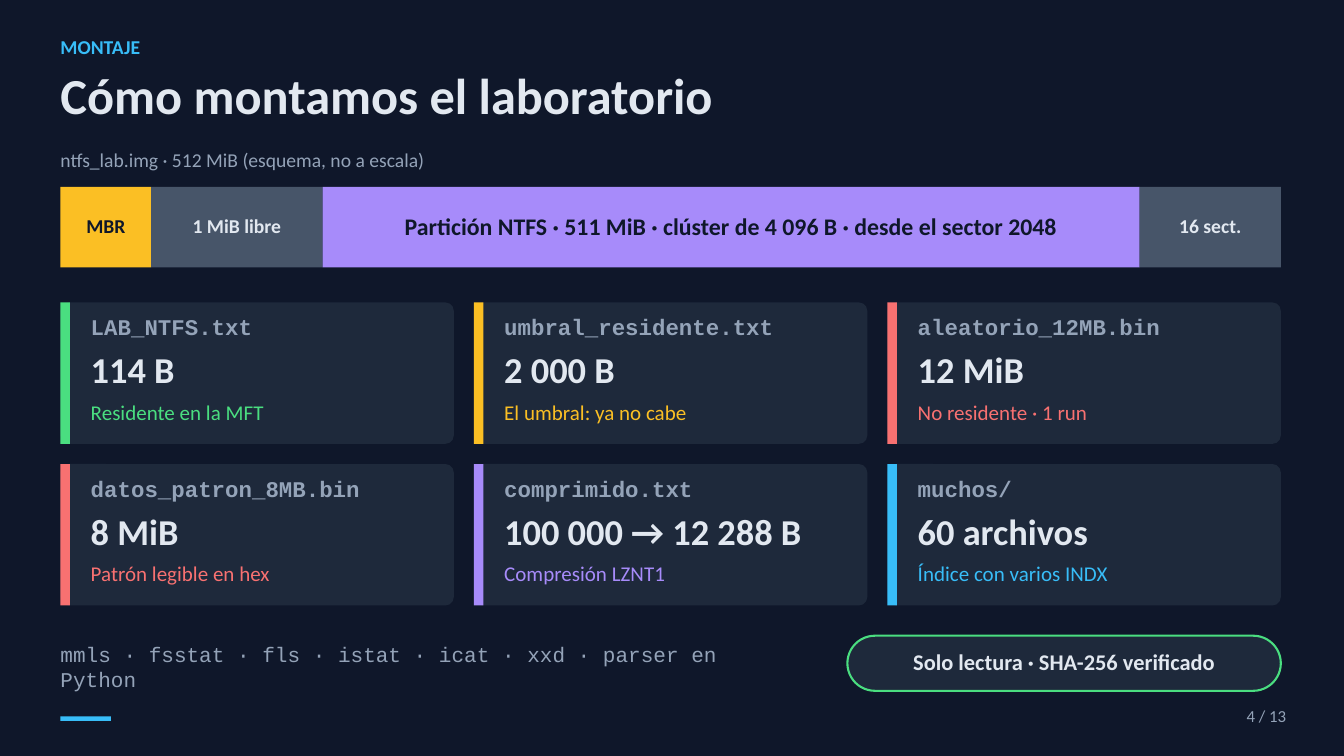
from pptx import Presentation
from pptx import util as u
from pptx.dml.color import RGBColor
from pptx.enum import shapes, text

PX = 9144  # 100 px to the inch

NIGHT = RGBColor(0x0F, 0x17, 0x2A)
PANEL = RGBColor(0x1E, 0x29, 0x3B)
SLATE = RGBColor(0x47, 0x55, 0x69)
MUTED = RGBColor(0x94, 0xA3, 0xB8)
LIGHT = RGBColor(0xE2, 0xE8, 0xF0)
SKY = RGBColor(0x38, 0xBD, 0xF8)
AMBER = RGBColor(0xFB, 0xBF, 0x24)
VIOLET = RGBColor(0xA7, 0x8B, 0xFA)
GREEN = RGBColor(0x4A, 0xDE, 0x80)
RED = RGBColor(0xF8, 0x71, 0x71)

SANS = "Calibri"
MONO = "Courier New"
RECT = shapes.MSO_SHAPE.RECTANGLE
ROUNDED = shapes.MSO_SHAPE.ROUNDED_RECTANGLE
LEFT, CENTER, RIGHT = text.PP_ALIGN.LEFT, text.PP_ALIGN.CENTER, text.PP_ALIGN.RIGHT

LEFT_EDGE = 90
CONTENT_WIDTH = 1816

# label, width, fill, text colour, text size
SEGMENTS = [
    ("MBR", 135, AMBER, NIGHT, 21),
    ("1 MiB libre", 255, SLATE, LIGHT, 21),
    ("Partición NTFS · 511 MiB · clúster de 4 096 B · desde el sector 2048",
     1216, VIOLET, NIGHT, 25.5),
    ("16 sect.", 210, SLATE, LIGHT, 21),
]

# file name, size, remark, accent
FILES = [
    ("LAB_NTFS.txt", "114 B", "Residente en la MFT", GREEN),
    ("umbral_residente.txt", "2 000 B", "El umbral: ya no cabe", AMBER),
    ("aleatorio_12MB.bin", "12 MiB", "No residente · 1 run", RED),
    ("datos_patron_8MB.bin", "8 MiB", "Patrón legible en hex", RED),
    ("comprimido.txt", "100 000 → 12 288 B", "Compresión LZNT1", VIOLET),
    ("muchos/", "60 archivos", "Índice con varios INDX", SKY),
]


def px(*lengths):
    return [u.Emu(round(length * PX)) for length in lengths]


def write(frame, words, size, color, bold=False, font=SANS, align=LEFT,
          anchor=text.MSO_ANCHOR.TOP, margins=(0, 0, 0, 0)):
    """Fill a text frame with one line; margins run left, top, right, bottom."""
    frame.word_wrap = True
    frame.auto_size = text.MSO_AUTO_SIZE.NONE
    frame.vertical_anchor = anchor
    (frame.margin_left, frame.margin_top,
     frame.margin_right, frame.margin_bottom) = px(*margins)
    para = frame.paragraphs[0]
    para.alignment = align
    para.line_spacing = u.Pt(size * 1.2)
    span = para.add_run()
    span.text = words
    span.font.name = font
    span.font.size = u.Pt(size)
    span.font.bold = bold
    span.font.color.rgb = color


def add_label(page, box, words, size, color, **style):
    write(page.shapes.add_textbox(*px(*box)).text_frame, words, size, color, **style)


def add_block(page, box, fill, kind=RECT):
    block = page.shapes.add_shape(kind, *px(*box))
    block.shadow.inherit = False
    block.fill.solid()
    block.fill.fore_color.rgb = fill
    block.line.fill.background()
    return block


def write_centered(block, words, size, color):
    write(block.text_frame, words, size, color, bold=True, align=CENTER,
          anchor=text.MSO_ANCHOR.MIDDLE, margins=(6, 6, 6, 10))


def add_header(page, left, top, width):
    add_label(page, (left, top, 1351, 50), "MONTAJE", 21, SKY, bold=True)
    title = page.shapes.title
    title.left, title.top, title.width, title.height = px(left, top + 44, width, 133)
    write(title.text_frame, "Cómo montamos el laboratorio", 54, LIGHT, bold=True)


def add_disk_map(page, left, top, height):
    add_label(page, (left, top, 901, 50),
              "ntfs_lab.img · 512 MiB (esquema, no a escala)", 21, MUTED)
    for words, width, fill, color, size in SEGMENTS:
        segment = add_block(page, (left, top + 58, width, height), fill)
        write_centered(segment, words, size, color)
        left += width


def add_card(page, left, top, width, height, name, amount, remark, accent):
    card = add_block(page, (left, top, width, height), PANEL, ROUNDED)
    card.adjustments[0] = 0.06
    add_block(page, (left, top, 14, height), accent)
    inner, span_width = left + 45, width - 60
    add_label(page, (inner, top + 16, span_width, 58), name, 24, MUTED,
              bold=True, font=MONO)
    add_label(page, (inner, top + 67, span_width, 83), amount, 39, LIGHT, bold=True)
    add_label(page, (inner, top + 144, span_width, 51), remark, 22.5, accent)


def add_card_grid(page, left, top, width, height, columns=3, rows=2, gap=30):
    card_width = (width - gap * (columns - 1)) / columns
    card_height = (height - gap * (rows - 1)) / rows
    for index, file in enumerate(FILES):
        row, column = divmod(index, columns)
        add_card(page, left + column * (card_width + gap),
                 top + row * (card_height + gap), card_width, card_height, *file)


def add_tool_row(page, left, top, width):
    add_label(page, (left, top + 9, 1081, 66),
              "mmls · fsstat · fls · istat · icat · xxd · parser en Python",
              22.5, MUTED, font=MONO)
    pill = add_block(page, (left + width - 645, top, 645, 82), PANEL, ROUNDED)
    pill.adjustments[0] = 0.5
    pill.line.color.rgb = GREEN
    pill.line.width = u.Pt(2.25)
    write_centered(pill, "Solo lectura · SHA-256 verificado", 24, LIGHT)


def add_footer(page, left, top):
    add_block(page, (left, top + 16, 75, 7), SKY)
    add_label(page, (left + 1591, top, 233, 49), "4 / 13", 18, MUTED, align=RIGHT)


def main():
    deck = Presentation()
    deck.slide_width, deck.slide_height = px(2000, 1125)
    page = deck.slides.add_slide(deck.slide_layouts.get_by_name("Title Only"))
    page.background.fill.solid()
    page.background.fill.fore_color.rgb = NIGHT

    add_header(page, LEFT_EDGE, 52, CONTENT_WIDTH)
    add_disk_map(page, LEFT_EDGE, 220, 120)
    add_card_grid(page, LEFT_EDGE, 450, CONTENT_WIDTH, 451)
    add_tool_row(page, LEFT_EDGE, 946, CONTENT_WIDTH)
    add_footer(page, LEFT_EDGE, 1050)
    deck.save("out.pptx")


if __name__ == "__main__":
    main()
